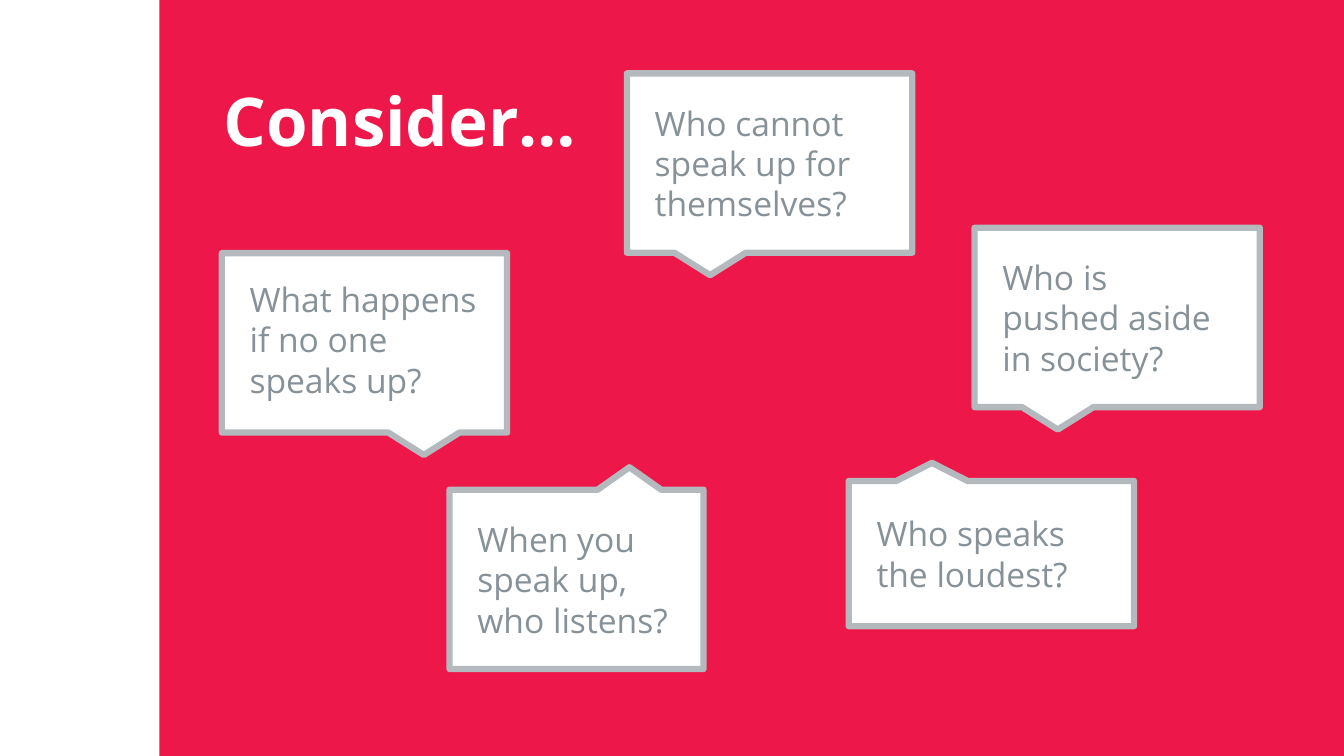
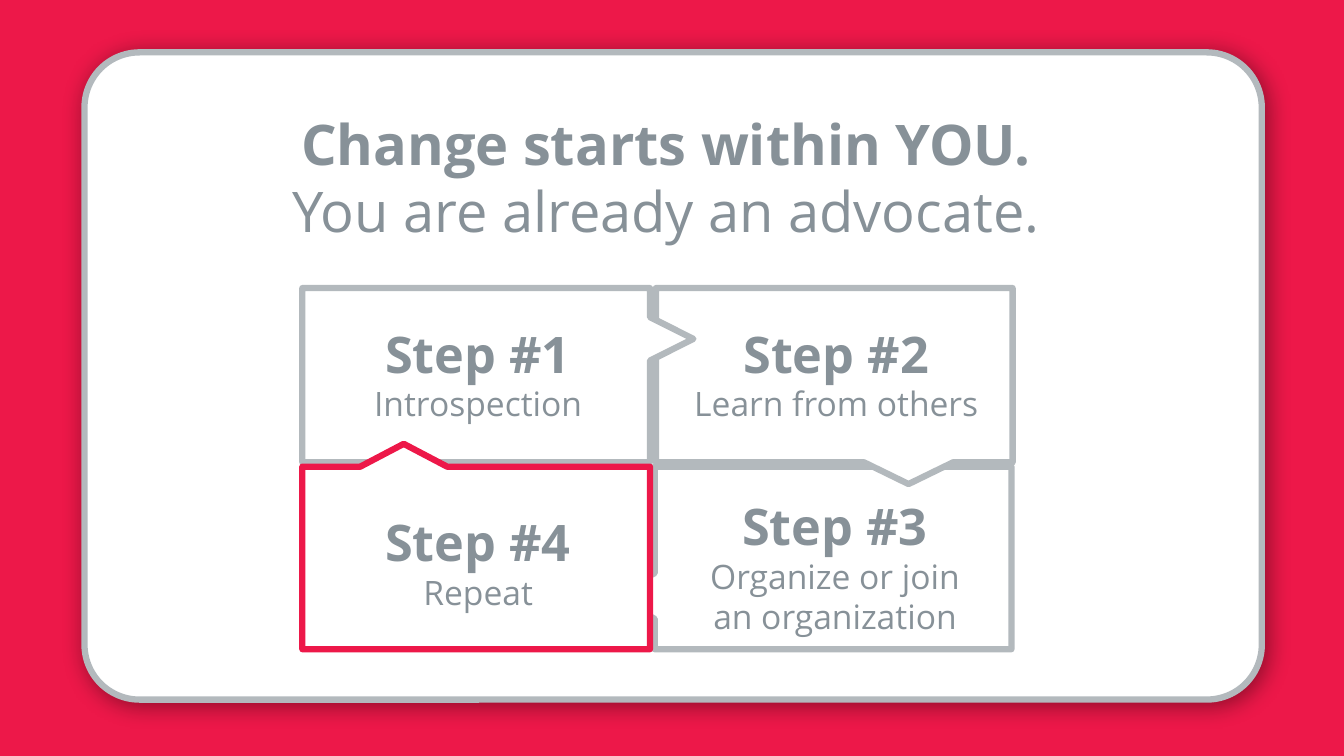
from dataclasses import dataclass

import lxml.etree
import pptx
import pptx.dml.color
import pptx.enum.shapes
import pptx.enum.text
import pptx.oxml.ns
import pptx.presentation
import pptx.shapes.autoshape
import pptx.slide
import pptx.text.text
import pptx.util

Cm = pptx.util.Cm
Pt = pptx.util.Pt
RGBColor = pptx.dml.color.RGBColor
MSO_SHAPE = pptx.enum.shapes.MSO_SHAPE
MSO_ANCHOR = pptx.enum.text.MSO_ANCHOR
PP_ALIGN = pptx.enum.text.PP_ALIGN

RED = RGBColor(0xED, 0x18, 0x49)
WHITE = RGBColor(0xFF, 0xFF, 0xFF)
SILVER = RGBColor(0xB3, 0xB9, 0xBD)
SLATE = RGBColor(0x87, 0x91, 0x98)

FONT = "Open Sans"
BORDER = Pt(4.5)
TITLE_ONLY = 5
PAGE_WIDTH, PAGE_HEIGHT = 33.87, 19.05

TIP_SHIFT = 5 / 24
TIP_REACH = 5 / 8


@dataclass(frozen=True)
class Frame:
    left: float
    top: float
    width: float
    height: float

    def lengths(self) -> tuple[pptx.util.Length, ...]:
        return Cm(self.left), Cm(self.top), Cm(self.width), Cm(self.height)


@dataclass(frozen=True)
class Line:
    text: str
    size: int
    bold: bool = False
    color: RGBColor = SLATE


@dataclass(frozen=True)
class TextStyle:
    align: PP_ALIGN
    margin_left: float
    margin_right: float


@dataclass(frozen=True)
class Callout:
    frame: Frame
    tip: tuple[float, float]
    lines: list[Line]
    drop: float = 0
    border: RGBColor = SILVER


QUESTION_STYLE = TextStyle(PP_ALIGN.LEFT, 0.7, 0.55)
STEP_STYLE = TextStyle(PP_ALIGN.CENTER, 0.9, 0.8)


def question(frame: Frame, tip: tuple[float, float], text: str, drop: float = 0) -> Callout:
    return Callout(frame, tip, [Line(text, 24)], drop)


def step(number: int, detail: str, frame: Frame, tip: tuple[float, float],
         drop: float, border: RGBColor = SILVER) -> Callout:
    lines = [Line(f"Step #{number}", 36, True), Line(detail, 24)]
    return Callout(frame, tip, lines, drop, border)


QUESTIONS = [
    question(Frame(5.59, 6.38, 7.19, 4.52), (TIP_SHIFT, TIP_REACH),
             "What happens if no one speaks up?", -0.09),
    question(Frame(11.33, 12.34, 6.4, 4.52), (TIP_SHIFT, -TIP_REACH),
             "When you speak up,\nwho listens?"),
    question(Frame(21.39, 12.12, 7.19, 3.66), (-TIP_SHIFT, -TIP_REACH),
             "Who speaks the loudest?"),
    question(Frame(24.56, 5.74, 7.19, 4.52), (-TIP_SHIFT, TIP_REACH),
             "Who is\npushed aside in society?"),
    question(Frame(15.8, 1.85, 7.19, 4.52), (-TIP_SHIFT, TIP_REACH),
             "Who cannot speak up for themselves?"),
]

STEPS = [
    step(3, "Organize or join an organization", Frame(16.5, 11.76, 8.99, 4.6),
         (-TIP_REACH, TIP_SHIFT), 0.19),
    step(2, "Learn from others", Frame(16.53, 7.26, 8.99, 4.39),
         (TIP_SHIFT, TIP_REACH), -0.05),
    step(1, "Introspection", Frame(7.62, 7.26, 8.76, 4.39),
         (TIP_REACH, -TIP_SHIFT), -0.05),
    step(4, "Repeat", Frame(7.62, 11.76, 8.76, 4.6),
         (-TIP_SHIFT, -TIP_REACH), 0.1, RED),
]


def write_lines(text_frame: pptx.text.text.TextFrame, lines: list[Line], align: PP_ALIGN) -> None:
    text_frame.word_wrap = True
    for index, line in enumerate(lines):
        para = text_frame.add_paragraph() if index else text_frame.paragraphs[0]
        para.text = line.text
        para.alignment = align
        for span in para.runs:
            span.font.name = FONT
            span.font.size = Pt(line.size)
            span.font.bold = line.bold
            span.font.color.rgb = line.color


def add_page(deck: pptx.presentation.Presentation, title_frame: Frame,
             lines: list[Line], align: PP_ALIGN) -> pptx.slide.Slide:
    page = deck.slides.add_slide(deck.slide_layouts[TITLE_ONLY])
    title = page.shapes.title
    title.left, title.top, title.width, title.height = title_frame.lengths()
    title.text_frame.auto_size = pptx.enum.text.MSO_AUTO_SIZE.NONE
    title.text_frame.vertical_anchor = MSO_ANCHOR.TOP
    write_lines(title.text_frame, lines, align)
    return page


def add_box(page: pptx.slide.Slide, kind: MSO_SHAPE, frame: Frame,
            border: RGBColor | None = None) -> pptx.shapes.autoshape.Shape:
    box = page.shapes.add_shape(kind, *frame.lengths())
    box.shadow.inherit = False
    box.fill.solid()
    box.fill.fore_color.rgb = WHITE
    if border is None:
        box.line.fill.background()
    else:
        box.line.color.rgb = border
        box.line.width = BORDER
    return box


def add_callout(page: pptx.slide.Slide, callout: Callout, style: TextStyle) -> None:
    box = add_box(page, MSO_SHAPE.RECTANGULAR_CALLOUT, callout.frame, callout.border)
    box.adjustments[0], box.adjustments[1] = callout.tip
    text_frame = box.text_frame
    text_frame.vertical_anchor = MSO_ANCHOR.MIDDLE
    text_frame.margin_left = Cm(style.margin_left)
    text_frame.margin_right = Cm(style.margin_right)
    text_frame.margin_top = Cm(max(2 * callout.drop, 0))
    text_frame.margin_bottom = Cm(max(-2 * callout.drop, 0))
    write_lines(text_frame, callout.lines, style.align)


def add_soft_shadow(box: pptx.shapes.autoshape.Shape) -> None:
    qn = pptx.oxml.ns.qn
    effects = box.element.spPr.find(qn("a:effectLst"))
    shadow = lxml.etree.SubElement(
        effects, qn("a:outerShdw"), blurRad=str(Pt(16)), dist=str(Pt(3)),
        dir="2700000", algn="tl", rotWithShape="0")
    color = lxml.etree.SubElement(shadow, qn("a:srgbClr"), val="000000")
    lxml.etree.SubElement(color, qn("a:alpha"), val="40000")


def build_questions(deck: pptx.presentation.Presentation) -> None:
    page = add_page(deck, Frame(5.38, 1.88, 10.2, 2.31),
                    [Line("Consider…", 48, True, WHITE)], PP_ALIGN.LEFT)
    add_box(page, MSO_SHAPE.RECTANGLE, Frame(0, 0, 4.02, PAGE_HEIGHT))
    for callout in QUESTIONS:
        add_callout(page, callout, QUESTION_STYLE)


def build_steps(deck: pptx.presentation.Presentation) -> None:
    lines = [Line("Change starts within YOU.", 40, True),
             Line("You are already an advocate.", 40)]
    page = add_page(deck, Frame(2.13, 2.62, 29.31, 3.68), lines, PP_ALIGN.CENTER)
    panel = add_box(page, MSO_SHAPE.ROUNDED_RECTANGLE,
                    Frame(2.13, 1.32, 29.67, 16.31), SILVER)
    panel.adjustments[0] = 0.085
    add_soft_shadow(panel)
    page.shapes.title.element.addprevious(panel.element)
    for callout in STEPS:
        add_callout(page, callout, STEP_STYLE)


def main() -> None:
    deck = pptx.Presentation()
    deck.slide_width, deck.slide_height = Cm(PAGE_WIDTH), Cm(PAGE_HEIGHT)
    backdrop = deck.slide_master.background.fill
    backdrop.solid()
    backdrop.fore_color.rgb = RED
    build_questions(deck)
    build_steps(deck)
    deck.save("out.pptx")


if __name__ == "__main__":
    main()
